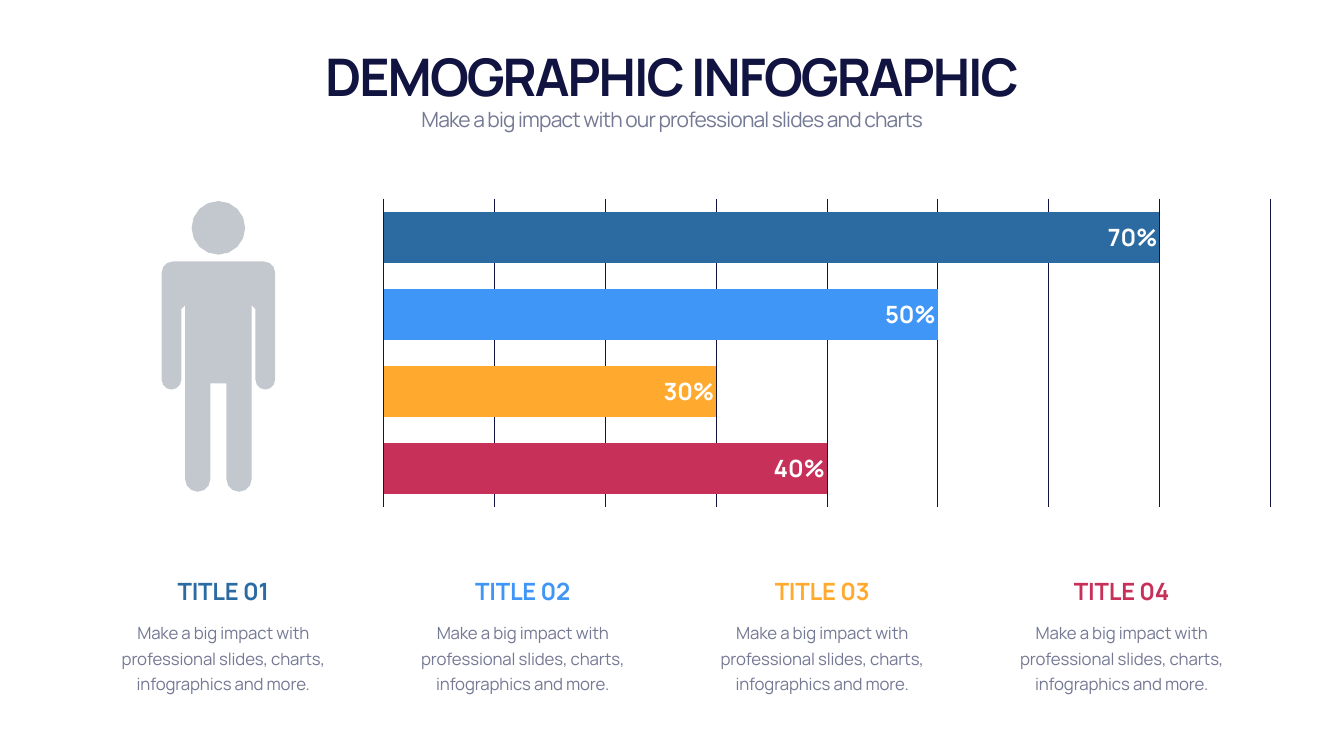
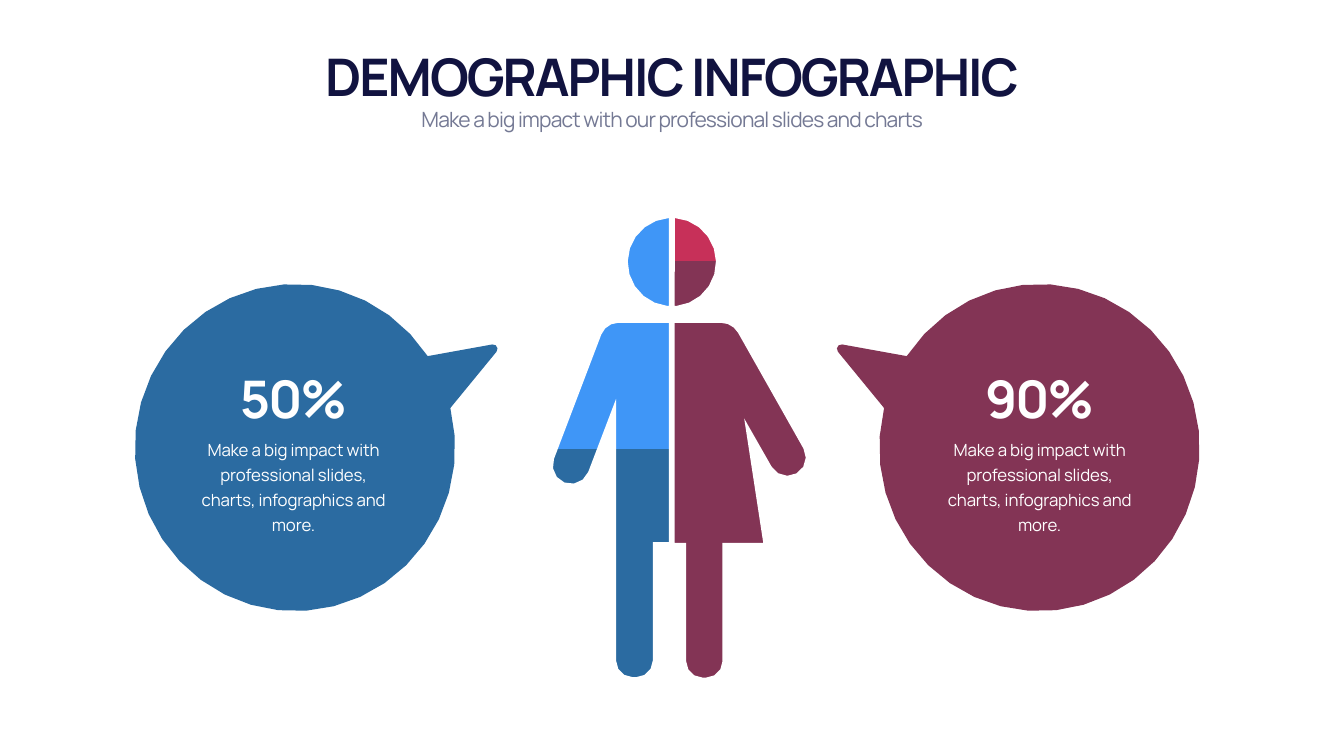
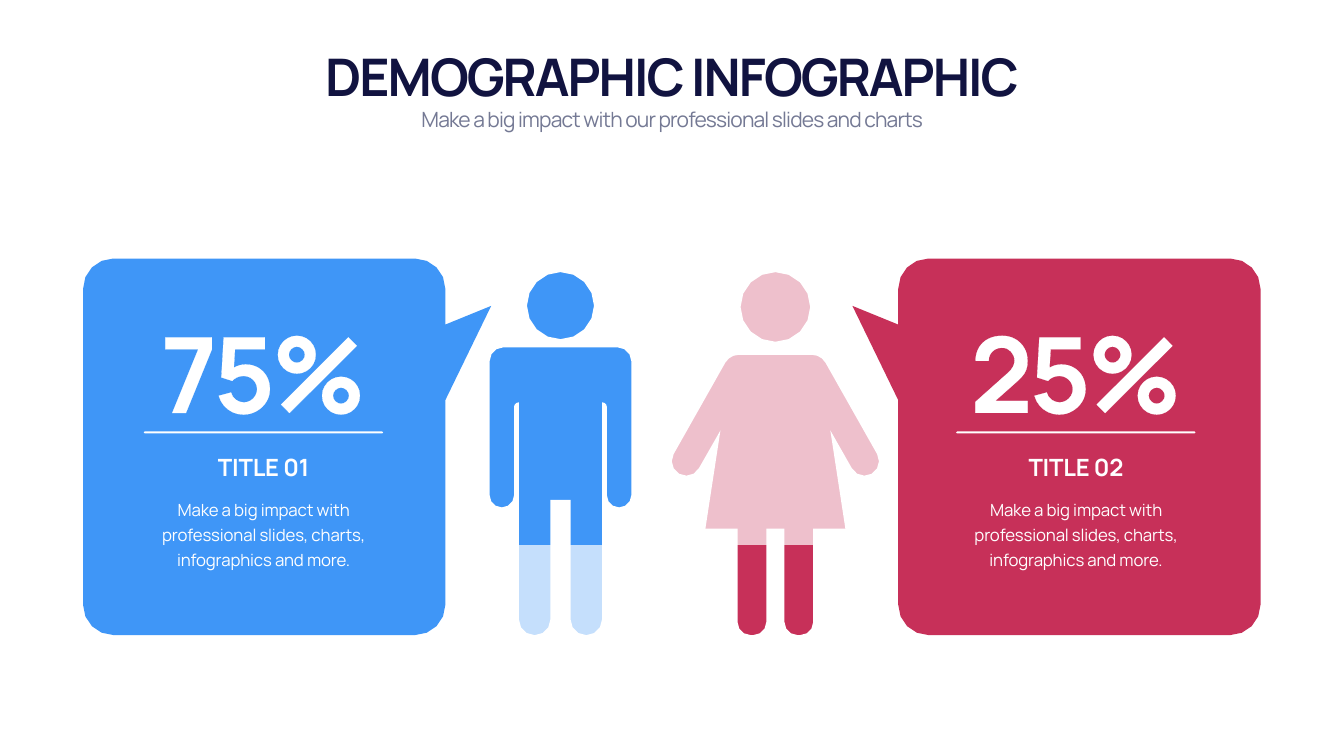
"""Build three demographic infographic slides."""
import math

import pptx
import pptx.chart.data
import pptx.dml.color
import pptx.enum.chart
import pptx.enum.text
import pptx.oxml
import pptx.util

Pt = pptx.util.Pt
rgb = pptx.dml.color.RGBColor.from_string
NS = ('xmlns:a="http://schemas.openxmlformats.org/drawingml/2006/main" '
      'xmlns:c="http://schemas.openxmlformats.org/drawingml/2006/chart"')
FONT = "Manrope"
NAVY, GREY, WHITE, SILVER = "111340", "747994", "FFFFFF", "C3C8CE"
TEAL, BLUE, ORANGE, RED, PLUM = "2B6BA1", "3F96F7", "FFAA2E", "C73059", "833455"
BLURB = "Make a big impact with professional slides, charts, infographics and more."

TOP, MIDDLE, BOTTOM = (pptx.enum.text.MSO_ANCHOR.TOP, pptx.enum.text.MSO_ANCHOR.MIDDLE,
                       pptx.enum.text.MSO_ANCHOR.BOTTOM)
STYLES = {
    "title": (74, True, -290, BOTTOM),
    "subtitle": (30, False, -120, TOP),
    "heading": (34, True, -30, BOTTOM),
    "body": (24, False, -20, TOP),
    "figure": (150, True, -500, MIDDLE),
}

MAN = [(81, 0, 16), (81, 183, 14), (53, 183, 14), (53, 63, 5), (47.5, 63, 0),
       (47.5, 329, 18), (11.5, 329, 18), (11.5, 174.3, 0)]
WOMAN = [(65.2, 0, 22), (155.5, 159.8, 20.6), (119.5, 180, 20.6), (78.5, 108, 0),
         (100, 248.4, 0), (54, 248.4, 0), (54, 400.3, 18.4), (13, 400.3, 18.4), (13, 248.4, 0)]
WIDE_MAN = [(90.2, 0, 26), (173.5, 218.9, 26.2), (124.6, 237.6, 26.2), (75.5, 108.7, 0),
            (75.5, 506.2, 23.7), (23, 506.2, 23.7), (23, 313.2, 0)]


def text(s, style, color, x, y, w, h, words):
    size, bold, spacing, anchor = STYLES[style]
    tf = s.shapes.add_textbox(Pt(x), Pt(y), Pt(w), Pt(h)).text_frame
    tf.word_wrap = True
    tf.auto_size = pptx.enum.text.MSO_AUTO_SIZE.SHAPE_TO_FIT_TEXT
    tf.vertical_anchor = anchor
    p = tf.paragraphs[0]
    p.alignment = pptx.enum.text.PP_ALIGN.CENTER
    if style == "body":
        p.line_spacing = Pt(36)
    r = p.add_run()
    r.text = words
    r.font.name, r.font.size, r.font.bold = FONT, Pt(size), bold
    r.font.color.rgb = rgb(color)
    rPr = r._r.get_or_add_rPr()
    rPr.set("spc", str(spacing))
    if style == "figure":
        rPr.insert(0, pptx.oxml.parse_xml(
            f'<a:ln {NS} w="38100"><a:solidFill><a:srgbClr val="{color}"/></a:solidFill></a:ln>'))


def freeform(s, color, contours):
    builder = None
    for corners in contours:
        points = []
        for i, (x, y, radius) in enumerate(corners):
            if not radius:
                points.append((Pt(x), Pt(y)))
                continue
            ax, ay, _ = corners[i - 1]
            bx, by, _ = corners[(i + 1) % len(corners)]
            a, b = math.atan2(ay - y, ax - x), math.atan2(by - y, bx - x)
            half = ((b - a + math.pi) % math.tau - math.pi) / 2
            d = radius / math.sin(abs(half))
            cx, cy = x + d * math.cos(a + half), y + d * math.sin(a + half)
            spread = math.copysign(math.pi / 2, half) - half
            steps = 1 if radius < 6 else 3 if radius < 30 else 4
            for j in range(steps + 1):
                t = a + half + math.pi + spread * (1 - 2 * j / steps)
                points.append((Pt(cx + radius * math.cos(t)), Pt(cy + radius * math.sin(t))))
        if builder is None:
            builder = s.shapes.build_freeform(*points[0])
        else:
            builder.move_to(*points[0])
        builder.add_line_segments(points[1:], close=True)
    sp = builder.convert_to_shape()
    sp.shadow.inherit = False
    sp.fill.solid()
    sp.fill.fore_color.rgb = rgb(color)
    sp.line.fill.background()


prs = pptx.Presentation()
prs.slide_width, prs.slide_height = Pt(1920), Pt(1080)
bars, halves, pair = slides = [prs.slides.add_slide(prs.slide_layouts[6]) for _ in range(3)]

for side, color, cx in ((-1, PLUM, 1485), (1, TEAL, 421.4)):
    bubble = [(cx + side * 228.8 * math.cos(math.radians(t)),
               639.4 + 233.6 * math.sin(math.radians(t)), 0) for t in range(-14, 327, 10)]
    freeform(halves, color, [bubble + [(cx + side * 299, 489, 6.4)]])

BAR = pptx.enum.chart.XL_CHART_TYPE.BAR_CLUSTERED
STACK = pptx.enum.chart.XL_CHART_TYPE.COLUMN_STACKED_100
FULL = (0, 0, 1, 1)
charts = [
    (bars, BAR, (467.2, 283.4, 1347.8, 484.6), (0.06, 0, 0.94, 0.91),
     [([0.4, 0.3, 0.5, 0.7], TEAL, {0: (RED, 100), 1: (ORANGE, 100), 2: (BLUE, 100)})]),
    (halves, STACK, (785.5, 306, 174.3, 669.6), FULL,
     [([50], RED, {0: (TEAL, 100)}), ([50], BLUE, {})]),
    (halves, STACK, (959.8, 306, 194.4, 669.6), FULL, [([90], PLUM, {}), ([10], RED, {})]),
    (pair, STACK, (695.5, 385.2, 209.5, 524.9), FULL,
     [([25], RED, {0: (BLUE, 30)}), ([75], BLUE, {})]),
    (pair, STACK, (956.2, 385.2, 303.1, 524.9), FULL,
     [([25], RED, {}), ([75], BLUE, {0: (RED, 30)})]),
]
for s, kind, box, inner, series in charts:
    data = pptx.chart.data.CategoryChartData(number_format="0%" if kind == BAR else "General")
    data.categories = [str(i + 1) for i in range(len(series[0][0]))]
    for i, (values, _, _) in enumerate(series):
        data.add_series(f"Series {i + 1}", values)
    chart = s.shapes.add_chart(kind, *map(Pt, box), data).chart
    chart.has_title = chart.has_legend = False
    chart.font.name, chart.font.size, chart.font.bold = FONT, Pt(34), True
    chart.font.color.rgb = rgb(WHITE)
    chart.category_axis.visible = chart.value_axis.visible = False
    chart.value_axis.tick_labels.number_format = "0%"
    chart.value_axis.tick_labels.number_format_is_linked = False
    plot = chart.plots[0]
    plot.vary_by_categories = False
    if kind == BAR:
        plot.gap_width = 50
        chart.value_axis.major_unit = 0.1
        grid = chart.value_axis.major_gridlines.format.line
        grid.color.rgb, grid.width = rgb(NAVY), Pt(1)
        plot.has_data_labels = True
        labels = plot.data_labels
        labels.show_value = True
        labels.number_format, labels.number_format_is_linked = "0%", False
        labels.position = pptx.enum.chart.XL_LABEL_POSITION.INSIDE_END
        labels.font.name, labels.font.size, labels.font.bold = FONT, Pt(34), True
        labels.font.color.rgb = rgb(WHITE)
    else:
        plot.gap_width, plot.overlap = 0, 100
        chart.value_axis.minimum_scale = 0
        chart.value_axis.has_major_gridlines = False
    for ser, (_, color, points) in zip(plot.series, series):
        ser.format.fill.solid()
        ser.format.fill.fore_color.rgb = rgb(color)
        for i, (point_color, alpha) in points.items():
            fill = ser.points[i].format.fill
            fill.solid()
            fill.fore_color.rgb = rgb(point_color)
            if alpha < 100:
                clr = fill._xPr.find(".//{*}srgbClr")
                clr.append(pptx.oxml.parse_xml(f'<a:alpha {NS} val="{alpha * 1000}"/>'))
    area = chart._chartSpace.chart.plotArea
    for old in area.findall("{*}layout"):
        area.remove(old)
    sizes = "".join(f'<c:{tag} val="{v}"/>' for tag, v in zip("xywh", inner))
    area.insert(0, pptx.oxml.parse_xml(
        f'<c:layout {NS}><c:manualLayout><c:layoutTarget val="inner"/><c:xMode val="edge"/>'
        f'<c:yMode val="edge"/>{sizes}</c:manualLayout></c:layout>'))

figures = [
    (bars, SILVER, MAN, -48, 38.3, 312, 373.5, 1, None),
    (pair, WHITE, MAN, -47.6, 38.3, 800.7, 496.1, 1.25, (691.2, 909.4)),
    (pair, WHITE, WOMAN, -68.4, 49.7, 1107.7, 506.9, 1, (951.8, 1262.9)),
]
for s, color, half, head_y, head_r, cx, top, k, frame in figures:
    body = [(cx + side * k * x, top + k * y, k * r)
            for side, part in ((1, half), (-1, half[::-1])) for x, y, r in part]
    head = [(cx + i * k * head_r, top + k * (head_y + j * head_r), k * head_r)
            for i, j in ((-1, -1), (1, -1), (1, 1), (-1, 1))]
    contours = [body, head]
    if frame:
        left, right = frame
        contours.append([(left, 382.3, 0), (right, 382.3, 0), (right, 913.7, 0), (left, 913.7, 0)])
    freeform(s, color, contours)

contours = []
for side, half, k, inner, base in ((-1, WIDE_MAN, 1, 955.6, 313.2),
                                   (1, WOMAN, 1.266, 963.8, 248.4)):
    contours.append([(inner + side * k * x, 461.2 + k * y, k * r)
                     for x, y, r in [(0, 0, 0), *half, (0, base, 0)]])
    contours.append([(959.8 + side * 63 * math.cos(math.radians(t)),
                      374.4 + 63 * math.sin(math.radians(t)), 0) for t in range(-86, 87, 17)]
                    + [(inner, 437, 0)])
contours.append([(779.8, 298.8, 0), (1163.5, 298.8, 0), (1163.5, 975.6, 0), (779.8, 975.6, 0)])
freeform(halves, WHITE, contours)

for s in slides:
    text(s, "title", NAVY, 120, 59, 1680, 97.2, "DEMOGRAPHIC INFOGRAPHIC")
    text(s, "subtitle", GREY, 120.2, 149, 1680, 43.9,
         "Make a big impact with our professional slides and charts")

for i, color in enumerate((TEAL, BLUE, ORANGE, RED)):
    x = 157 + 427.8 * i
    text(bars, "body", GREY, x, 879.3, 324, 114.5, BLURB)
    text(bars, "heading", color, x, 819.4, 324, 48.2, f"TITLE {i + 1:02}")

for x, share in ((272.4, "50%"), (1338.3, "90%")):
    text(halves, "body", WHITE, x, 617, 293.8, 151.2, BLURB)
    text(halves, "title", WHITE, x, 519, 293.8, 97.2, share)

for side, color, x, share, title in ((-1, BLUE, 200.9, "75%", "TITLE 01"),
                                     (1, RED, 1361.5, "25%", "TITLE 02")):
    outline = [(323.5, 369.4, 43), (841, 369.4, 43), (841, 907.2, 43), (323.5, 907.2, 43),
               (323.5, 571.7, 0), (258, 437, 0), (323.5, 463.7, 0)]
    freeform(pair, color, [[(959.7 + side * dx, y, r) for dx, y, r in outline]])
    left, right = x + 4.4, x + 346.4
    freeform(pair, WHITE, [[(left, 616.3, 1.5), (right, 616.3, 1.5),
                            (right, 619.3, 1.5), (left, 619.3, 1.5)]])
    text(pair, "figure", WHITE, x, 435.3, 351.4, 189.4, share)
    text(pair, "heading", WHITE, x, 643, 351.4, 48.2, title)
    text(pair, "body", WHITE, x, 702.7, 351.4, 114.5, BLURB)

prs.save("out.pptx")
